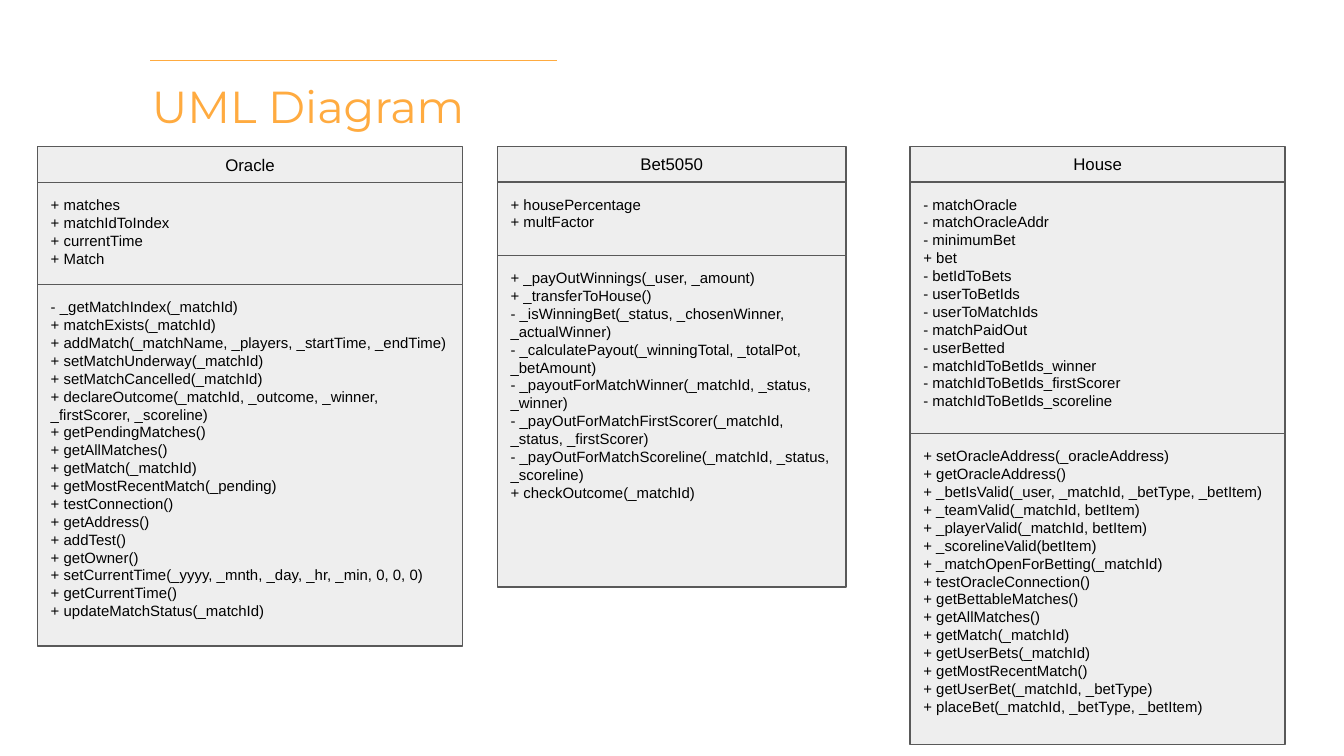
from lxml.etree import SubElement
from pptx import Presentation
from pptx.dml.color import RGBColor
from pptx.enum.shapes import MSO_CONNECTOR, MSO_SHAPE
from pptx.enum.text import MSO_ANCHOR as Anchor, MSO_AUTO_SIZE, PP_ALIGN as Align
from pptx.oxml.ns import qn
from pptx.util import Cm, Pt

ORANGE = RGBColor(0xFF, 0xAB, 0x40)
LIGHT_GRAY = RGBColor(0xEE, 0xEE, 0xEE)
DARK_GRAY = RGBColor(0x59, 0x59, 0x59)
BLACK = RGBColor(0, 0, 0)

CLASSES_TOP = 2.77

# name, left, width, compartment heights (cm), attributes, methods
CLASSES = [
    ("Oracle", 0.71, 8.03, (0.68, 1.93, 6.83), [
        "+ matches",
        "+ matchIdToIndex",
        "+ currentTime",
        "+ Match",
    ], [
        "- _getMatchIndex(_matchId)",
        "+ matchExists(_matchId)",
        "+ addMatch(_matchName, _players, _startTime, _endTime)",
        "+ setMatchUnderway(_matchId)",
        "+ setMatchCancelled(_matchId)",
        "+ declareOutcome(_matchId, _outcome, _winner, _firstScorer, _scoreline)",
        "+ getPendingMatches()",
        "+ getAllMatches()",
        "+ getMatch(_matchId)",
        "+ getMostRecentMatch(_pending)",
        "+ testConnection()",
        "+ getAddress()",
        "+ addTest()",
        "+ getOwner()",
        "+ setCurrentTime(_yyyy, _mnth, _day, _hr, _min, 0, 0, 0)",
        "+ getCurrentTime()",
        "+ updateMatchStatus(_matchId)",
    ]),
    ("House", 17.2, 7.09, (0.67, 4.76, 5.87), [
        "- matchOracle",
        "- matchOracleAddr",
        "- minimumBet",
        "+ bet",
        "- betIdToBets",
        "- userToBetIds",
        "- userToMatchIds",
        "- matchPaidOut",
        "- userBetted",
        "- matchIdToBetIds_winner",
        "- matchIdToBetIds_firstScorer",
        "- matchIdToBetIds_scoreline",
    ], [
        "+ setOracleAddress(_oracleAddress)",
        "+ getOracleAddress()",
        "+ _betIsValid(_user, _matchId, _betType, _betItem)",
        "+ _teamValid(_matchId, betItem)",
        "+ _playerValid(_matchId, betItem)",
        "+ _scorelineValid(betItem)",
        "+ _matchOpenForBetting(_matchId)",
        "+ testOracleConnection()",
        "+ getBettableMatches()",
        "+ getAllMatches()",
        "+ getMatch(_matchId)",
        "+ getUserBets(_matchId)",
        "+ getMostRecentMatch()",
        "+ getUserBet(_matchId, _betType)",
        "+ placeBet(_matchId, _betType, _betItem)",
    ]),
    ("Bet5050", 9.4, 6.59, (0.67, 1.39, 6.27), [
        "+ housePercentage",
        "+ multFactor",
    ], [
        "+ _payOutWinnings(_user, _amount)",
        "+ _transferToHouse()",
        "- _isWinningBet(_status, _chosenWinner, _actualWinner)",
        "- _calculatePayout(_winningTotal, _totalPot, _betAmount)",
        "- _payoutForMatchWinner(_matchId, _status, _winner)",
        "- _payOutForMatchFirstScorer(_matchId, _status, _firstScorer)",
        "- _payOutForMatchScoreline(_matchId, _status, _scoreline)",
        "+ checkOutcome(_matchId)",
    ]),
]


def write_text(shape, lines, size=8, font="Arial", color=BLACK,
               align=Align.LEFT, anchor=Anchor.TOP):
    frame = shape.text_frame
    frame.word_wrap = True
    frame.auto_size = MSO_AUTO_SIZE.NONE
    frame.vertical_anchor = anchor
    frame.margin_left = frame.margin_right = Cm(0.25)
    frame.margin_top = frame.margin_bottom = Cm(0.25)
    frame.text = "\n".join(lines)
    for paragraph in frame.paragraphs:
        paragraph.alignment = align
        paragraph.font.size = Pt(size)
        paragraph.font.name = font
        paragraph.font.color.rgb = color


prs = Presentation()
prs.slide_width, prs.slide_height = Cm(25.4), Cm(14.29)
slide = prs.slides.add_slide(prs.slide_layouts[5])

title = slide.shapes.title
title.left, title.top, title.width, title.height = Cm(2.62), Cm(1.24), Cm(7.67), Cm(1.55)
write_text(title, ["UML Diagram"], size=24, font="Montserrat", color=ORANGE)

title_rule = slide.shapes.add_connector(
    MSO_CONNECTOR.STRAIGHT, Cm(2.84), Cm(1.14), Cm(10.52), Cm(1.14))
title_rule.line.color.rgb = ORANGE
title_rule.line.width = Pt(0.75)
SubElement(title_rule.element.spPr, qn("a:effectLst"))

for name, left, width, heights, attributes, methods in CLASSES:
    top = CLASSES_TOP
    for lines, height in zip(([name], attributes, methods), heights):
        compartment = slide.shapes.add_shape(
            MSO_SHAPE.RECTANGLE, Cm(left), Cm(top), Cm(width), Cm(height))
        compartment.shadow.inherit = False
        compartment.fill.solid()
        compartment.fill.fore_color.rgb = LIGHT_GRAY
        compartment.line.color.rgb = DARK_GRAY
        compartment.line.width = Pt(0.75)
        if top == CLASSES_TOP:
            write_text(compartment, lines, size=9, align=Align.CENTER, anchor=Anchor.MIDDLE)
        else:
            write_text(compartment, lines)
        top += height

prs.save("out.pptx")
